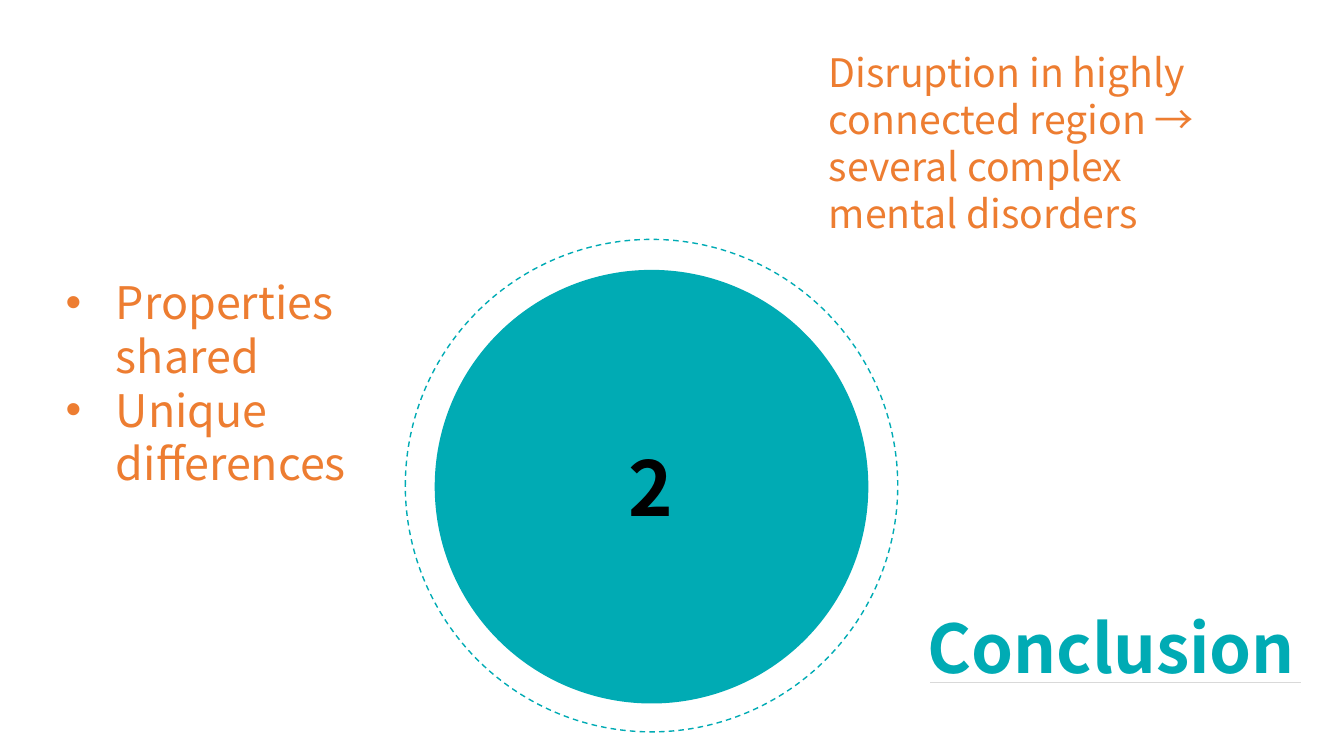
from dataclasses import dataclass
from typing import Optional

from lxml.etree import SubElement
from pptx import Presentation
from pptx.dml.color import RGBColor
from pptx.enum.dml import MSO_LINE
from pptx.enum.shapes import MSO_CONNECTOR, MSO_SHAPE
from pptx.enum.text import MSO_AUTO_SIZE as AutoSize, PP_ALIGN as Align
from pptx.oxml.ns import qn
from pptx.slide import Slide
from pptx.util import Emu, Pt

EMU_PER_PX = 9525
LINE_HEIGHT = 1.2
BULLET_INDENT = 48
TEAL, ORANGE, BLACK, GREY = "00ABB4", "ED7D31", "000000", "D9D9D9"
SANS_SC, SANS_JP = "Noto Sans CJK SC", "Noto Sans CJK JP"


@dataclass(frozen=True)
class Circle:
    left: int
    top: int
    diameter: int
    filled: bool


@dataclass(frozen=True)
class Caption:
    left: int
    top: int
    width: int
    height: int
    lines: tuple[str, ...]
    size: int
    color: str = ORANGE
    font: str = SANS_SC
    bold: bool = False
    wrap: bool = True
    bulleted: bool = False
    align: Optional[Align] = None


CIRCLES = (
    Circle(414, 257, 413, filled=True),
    Circle(386, 228, 469, filled=False),
)
HEADING = Caption(874, 573, 377, 87, ("Conclusion",), 48, TEAL, bold=True, wrap=False)
NUMBER = Caption(506, 415, 228, 97, ("2",), 54, BLACK, SANS_JP, bold=True,
                 align=Align.CENTER)
FINDINGS = Caption(53, 257, 399, 113, ("Properties shared", "Unique differences"), 32,
                   bulleted=True)
IMPLICATION = Caption(
    780, 41, 399, 191,
    ("Disruption in highly connected region → several complex mental disorders",), 28)


def px(length: int) -> Emu:
    return Emu(length * EMU_PER_PX)


def rgb(color: str) -> RGBColor:
    return RGBColor.from_string(color)


def draw_circle(slide: Slide, circle: Circle) -> None:
    oval = slide.shapes.add_shape(MSO_SHAPE.OVAL, px(circle.left), px(circle.top),
                                  px(circle.diameter), px(circle.diameter))
    oval.shadow.inherit = False
    if circle.filled:
        oval.fill.solid()
        oval.fill.fore_color.rgb = rgb(TEAL)
        oval.line.fill.background()
    else:
        oval.fill.background()
        oval.line.color.rgb = rgb(TEAL)
        oval.line.width = Pt(1)
        oval.line.dash_style = MSO_LINE.DASH


def draw_rule(slide: Slide, left: int, right: int, y: int) -> None:
    rule = slide.shapes.add_connector(MSO_CONNECTOR.STRAIGHT,
                                      px(left), px(y), px(right), px(y))
    rule.line.color.rgb = rgb(GREY)
    rule.line.width = Pt(0.5)
    SubElement(rule.line._get_or_add_ln().getparent(), qn("a:effectLst"))


def draw_caption(slide: Slide, caption: Caption) -> None:
    box = slide.shapes.add_textbox(px(caption.left), px(caption.top),
                                   px(caption.width), px(caption.height))
    frame = box.text_frame
    frame.word_wrap = caption.wrap
    frame.auto_size = AutoSize.SHAPE_TO_FIT_TEXT
    for index, line in enumerate(caption.lines):
        paragraph = frame.add_paragraph() if index else frame.paragraphs[0]
        paragraph.alignment = caption.align
        paragraph.line_spacing = Pt(round(caption.size * LINE_HEIGHT, 1))
        if caption.bulleted:
            properties = paragraph._p.get_or_add_pPr()
            properties.set("marL", str(px(BULLET_INDENT)))
            properties.set("indent", str(px(-BULLET_INDENT)))
            SubElement(properties, qn("a:buFont"), typeface="Arial")
            SubElement(properties, qn("a:buChar"), char="•")
        run = paragraph.add_run()
        run.text = line
        run.font.name = caption.font
        run.font.size = Pt(caption.size)
        run.font.bold = caption.bold
        run.font.color.rgb = rgb(caption.color)


def main() -> None:
    deck = Presentation()
    deck.slide_width, deck.slide_height = px(1280), px(720)
    slide = deck.slides.add_slide(deck.slide_layouts[6])
    for circle in CIRCLES:
        draw_circle(slide, circle)
    draw_caption(slide, HEADING)
    draw_rule(slide, left=886, right=1239, y=650)
    for caption in (NUMBER, FINDINGS, IMPLICATION):
        draw_caption(slide, caption)
    deck.save("out.pptx")


if __name__ == "__main__":
    main()
